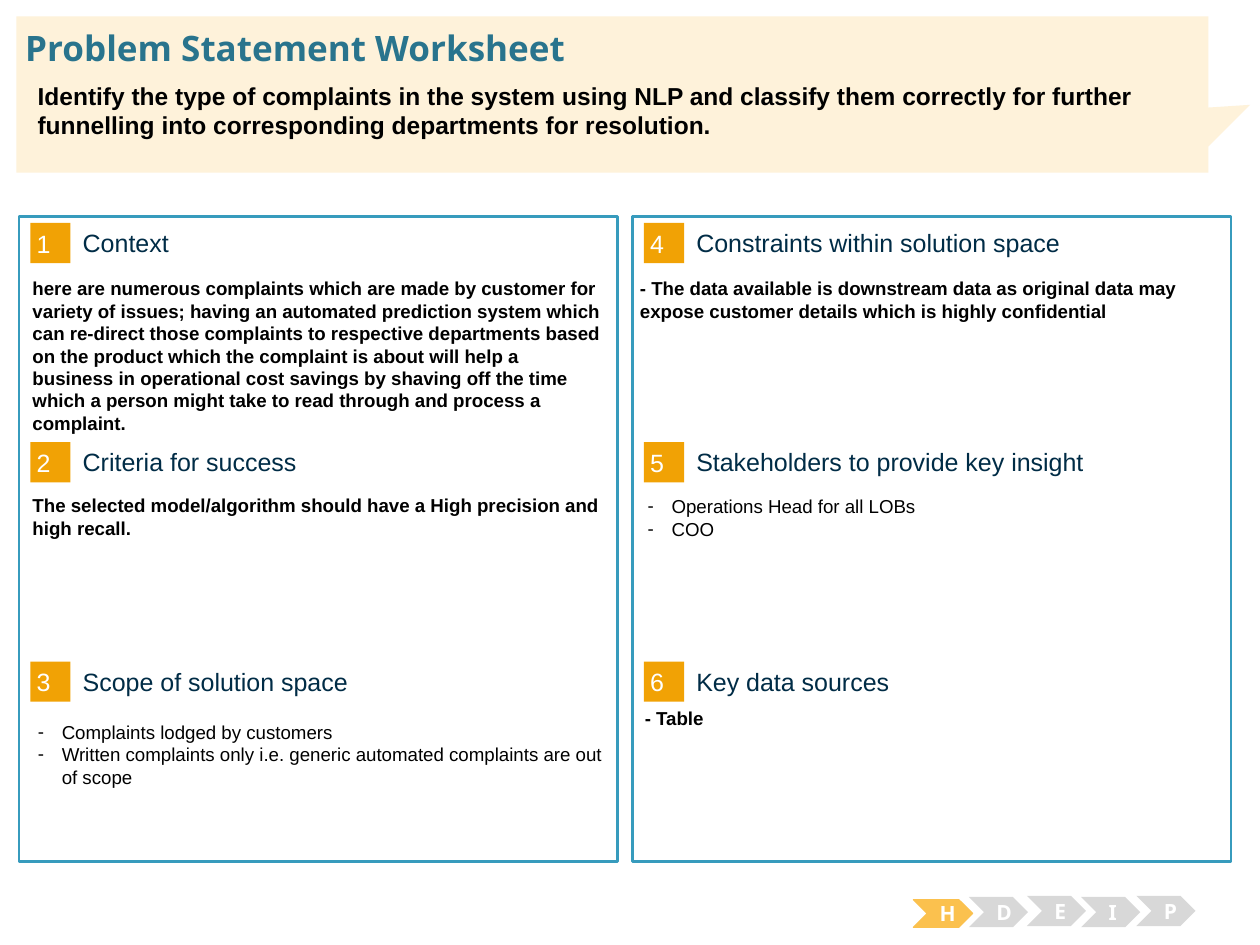
from dataclasses import dataclass

from lxml import etree
from pptx import Presentation
from pptx.dml.color import RGBColor
from pptx.enum.shapes import MSO_SHAPE
from pptx.enum.text import MSO_ANCHOR, MSO_AUTO_SIZE, PP_ALIGN
from pptx.oxml.ns import qn
from pptx.util import Pt

RECTANGLE = MSO_SHAPE.RECTANGLE
CHEVRON = MSO_SHAPE.CHEVRON
CALLOUT = MSO_SHAPE.RECTANGULAR_CALLOUT
TOP, MIDDLE = MSO_ANCHOR.TOP, MSO_ANCHOR.MIDDLE
LEFT, CENTER = PP_ALIGN.LEFT, PP_ALIGN.CENTER
NO_FIT = MSO_AUTO_SIZE.NONE

WHITE = RGBColor(0xFF, 0xFF, 0xFF)
BLACK = RGBColor(0x00, 0x00, 0x00)
NAVY = RGBColor(0x00, 0x2C, 0x46)
TEAL = RGBColor(0x29, 0x74, 0x8D)
BORDER = RGBColor(0x37, 0x9B, 0xBD)
ORANGE = RGBColor(0xF1, 0xA2, 0x05)
AMBER = RGBColor(0xFB, 0xC1, 0x4E)
GREY = RGBColor(0xD8, 0xD8, 0xD8)
CREAM = RGBColor(0xFE, 0xF2, 0xDA)

TITLE = {"name": "Noto Sans", "size": Pt(20), "bold": True, "color": TEAL}
SUMMARY = {"name": "Arial", "size": Pt(14), "bold": True, "color": BLACK}
BADGE = {"name": "Arial", "size": Pt(14.3), "bold": False, "color": WHITE}
HEADING = BADGE | {"color": NAVY}
LIST = {"name": "Arial", "size": Pt(10.7), "bold": False, "color": BLACK}
NOTE = LIST | {"bold": True}
STEP = {"name": "Noto Sans", "size": Pt(12), "bold": True, "color": WHITE}

NO_INSET = (0, 0)
BADGE_INSET = (3.6, 3.6)
TEXT_INSET = (7.2, 3.6)
COLUMN_PITCH = 350.6
ROW_PITCH = 125.3
ROWS = 3
INDENT = 13.7


@dataclass(frozen=True)
class Frame:
    left: float
    top: float
    width: float
    height: float

    def lengths(self) -> tuple:
        return Pt(self.left), Pt(self.top), Pt(self.width), Pt(self.height)


@dataclass(frozen=True)
class Section:
    heading: str
    lines: tuple
    frame: Frame
    listed: bool = False


@dataclass(frozen=True)
class Step:
    letter: str
    frame: Frame
    color: RGBColor = GREY


SECTIONS = (
    Section(
        "Context",
        ("here are numerous complaints which are made by customer for variety of issues; "
         "having an automated prediction system which can re-direct those complaints to "
         "respective departments based on the product which the complaint is about will "
         "help a business in operational cost savings by shaving off the time which a "
         "person might take to read through and process a complaint.",),
        Frame(11.5, 154.8, 340.6, 98),
    ),
    Section(
        "Criteria for success",
        ("The selected model/algorithm should have a High precision and high recall.",),
        Frame(11.5, 278.7, 340.6, 110.9),
    ),
    Section(
        "Scope of solution space",
        ("Complaints lodged by customers",
         "Written complaints only i.e. generic automated complaints are out of scope"),
        Frame(14.4, 408.3, 340.6, 59),
        listed=True,
    ),
    Section(
        "Constraints within solution space",
        ("- The data available is downstream data as original data may expose "
         "customer details which is highly confidential",),
        Frame(358.6, 154.8, 340.6, 85),
    ),
    Section(
        "Stakeholders to provide key insight",
        ("Operations Head for all LOBs", "COO"),
        Frame(362.9, 279.4, 340.6, 85),
        listed=True,
    ),
    Section("Key data sources", ("- Table",), Frame(361.4, 400.3, 340.6, 85)),
)

STEPS = (
    Step("H", Frame(522, 514.1, 33.8, 15.8), AMBER),
    Step("D", Frame(553.7, 512.6, 33.8, 17.3)),
    Step("E", Frame(586.8, 511.9, 33.8, 17.3)),
    Step("I", Frame(617.8, 512.6, 33.8, 17.3)),
    Step("P", Frame(649.4, 511.9, 33.8, 17.3)),
)


def write(box, lines: tuple, style: dict, inset: tuple = TEXT_INSET,
          anchor=TOP, align=LEFT, bulleted: bool = False) -> None:
    text = box.text_frame
    side, end = (Pt(value) for value in inset)
    settings = {
        "word_wrap": True, "auto_size": NO_FIT, "vertical_anchor": anchor,
        "margin_left": side, "margin_right": side,
        "margin_top": end, "margin_bottom": end,
    }
    for name, value in settings.items():
        setattr(text, name, value)
    for index, line in enumerate(lines):
        para = text.add_paragraph() if index else text.paragraphs[0]
        for name, value in {"alignment": align, "space_before": Pt(0)}.items():
            setattr(para, name, value)
        span = para.add_run()
        span.text = line
        for name, value in style.items():
            if name == "color":
                span.font.color.rgb = value
            else:
                setattr(span.font, name, value)
        if bulleted:
            add_dash(para)


def add_dash(para) -> None:
    properties = para._p.get_or_add_pPr()
    properties.set("marL", str(Pt(INDENT)))
    properties.set("indent", str(-Pt(INDENT)))
    color = etree.SubElement(properties, qn("a:buClr"))
    etree.SubElement(color, qn("a:srgbClr"), val=str(BLACK))
    etree.SubElement(properties, qn("a:buChar"), char="-")


def draw_shape(page, kind, frame: Frame, fill: RGBColor,
               line: RGBColor | None = None, weight: float = 0.75):
    shape = page.shapes.add_shape(kind, *frame.lengths())
    shape.shadow.inherit = False
    shape.fill.solid()
    shape.fill.fore_color.rgb = fill
    if line is None:
        shape.line.fill.background()
    else:
        shape.line.color.rgb = line
        shape.line.width = Pt(weight)
    return shape


def add_text(page, frame: Frame, text: str, style: dict, **layout) -> None:
    write(page.shapes.add_textbox(*frame.lengths()), (text,), style, **layout)


def place_in_front(box, frame: Frame) -> None:
    for name, value in zip(("left", "top", "width", "height"), frame.lengths()):
        setattr(box, name, value)
    box.element.getparent().append(box.element)


def draw_section(page, number: int, section: Section, list_boxes) -> None:
    column, row = divmod(number - 1, ROWS)
    across, down = column * COLUMN_PITCH, row * ROW_PITCH
    badge = draw_shape(page, RECTANGLE, Frame(17.3 + across, 127.4 + down, 23, 23), ORANGE)
    write(badge, (str(number),), BADGE, inset=BADGE_INSET, anchor=MIDDLE)
    add_text(page, Frame(47.3 + across, 129.6 + down, 283, 18), section.heading,
             HEADING, inset=NO_INSET, anchor=MIDDLE)
    if section.listed:
        box = next(list_boxes)
        place_in_front(box, section.frame)
        write(box, section.lines, LIST, bulleted=True)
    else:
        add_text(page, section.frame, section.lines[0], NOTE)


def main() -> None:
    deck = Presentation()
    deck.slide_width, deck.slide_height = Pt(720), Pt(540)
    page = deck.slides.add_slide(deck.slide_layouts.get_by_name("Two Content"))
    title, *bodies = page.placeholders
    list_boxes = iter(bodies)

    for column in range(2):
        frame = Frame(10.8 + column * COLUMN_PITCH, 123.8, 342, 368.6)
        draw_shape(page, RECTANGLE, frame, WHITE, BORDER, 1.5)
    for number, section in enumerate(SECTIONS, start=1):
        draw_section(page, number, section, list_boxes)
    for step in STEPS:
        line = AMBER if step.color == AMBER else None
        chevron = draw_shape(page, CHEVRON, step.frame, step.color, line)
        write(chevron, (step.letter,), STEP, anchor=MIDDLE, align=CENTER)

    banner = draw_shape(page, CALLOUT, Frame(9.4, 9.4, 681.1, 89.3), CREAM)
    banner.adjustments[0], banner.adjustments[1] = 0.535, 0.066
    place_in_front(title, Frame(14.4, 15.1, 692.6, 24.5))
    write(title, ("Problem Statement Worksheet",), TITLE, inset=NO_INSET, anchor=MIDDLE)
    add_text(page, Frame(14.4, 42.5, 676.1, 55.4),
             "Identify the type of complaints in the system using NLP and classify them "
             "correctly for further funnelling into corresponding departments for resolution.",
             SUMMARY)
    deck.save("out.pptx")


if __name__ == "__main__":
    main()
